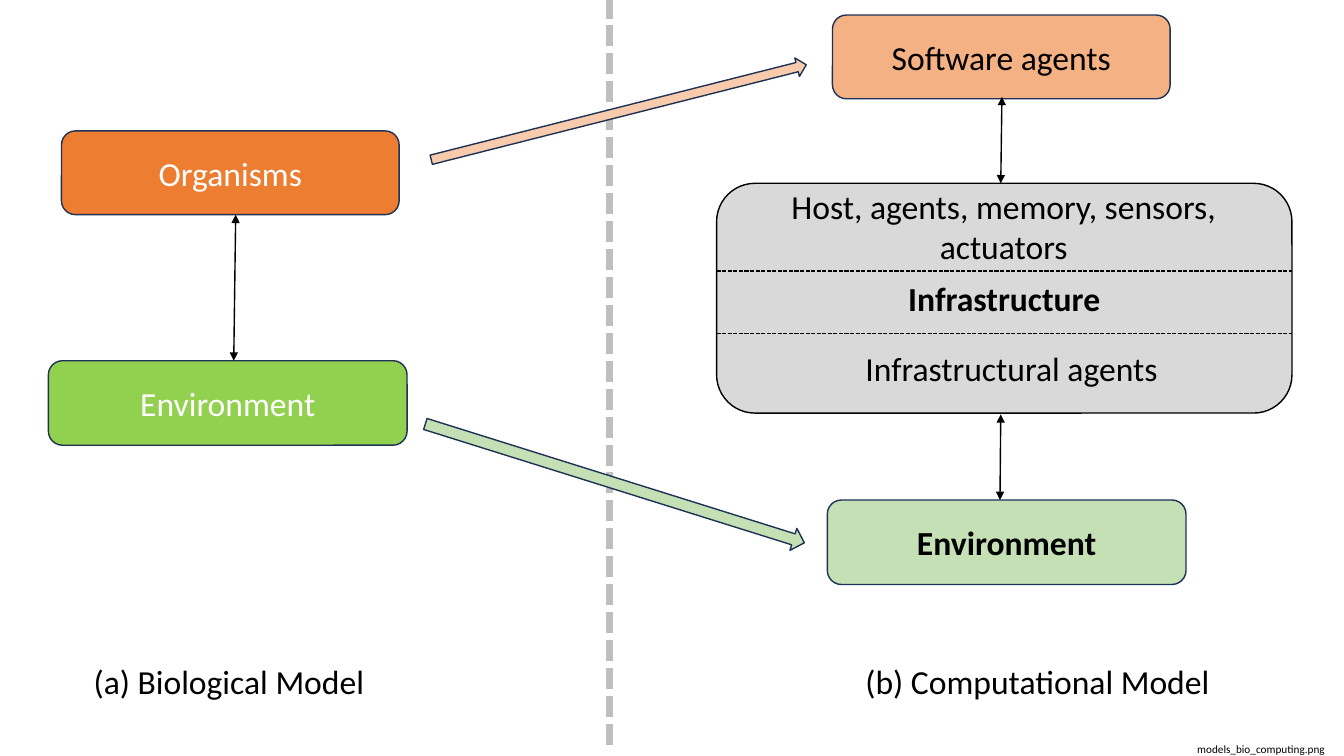
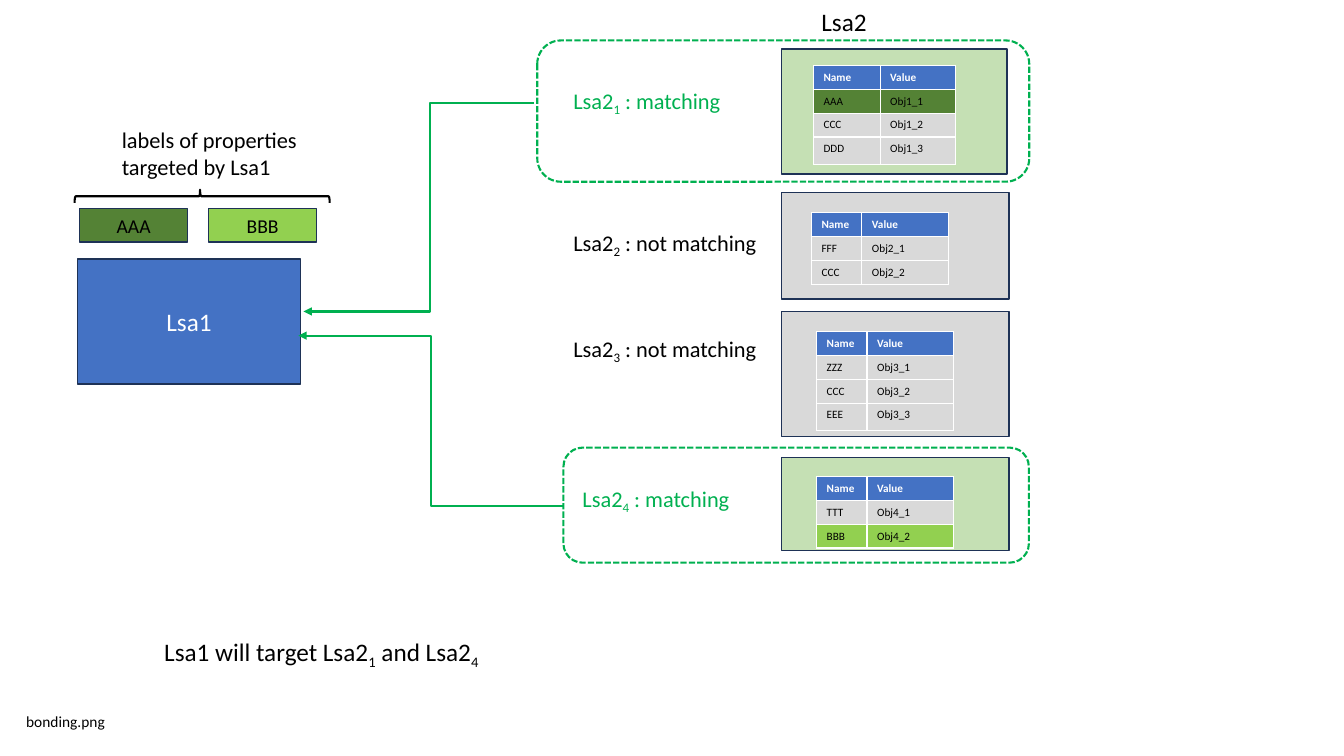
import pptx
import pptx.dml.color
import pptx.enum.dml
import pptx.enum.shapes
import pptx.enum.text
import pptx.oxml.ns
import pptx.util
from lxml import etree

Cm = pptx.util.Cm
Pt = pptx.util.Pt
KIND = pptx.enum.shapes.MSO_SHAPE
LINK = pptx.enum.shapes.MSO_CONNECTOR
ALIGN = pptx.enum.text.PP_ALIGN
ANCHOR = pptx.enum.text.MSO_ANCHOR
DASH = pptx.enum.dml.MSO_LINE.SQUARE_DOT
qn = pptx.oxml.ns.qn

HUES = {
    "black": "000000", "white": "FFFFFF", "navy": "1E3256", "blue": "4472C4",
    "grey": "D9D9D9", "rule": "BFBFBF", "orange": "ED7D31", "peach": "F4B183",
    "cream": "F8CBAD", "lime": "92D050", "mint": "C5E0B4", "moss": "548235",
    "green": "00B050",
}


def hue(name):
    return pptx.dml.color.RGBColor.from_string(HUES[name])


def apply(thing, form):
    for name, value in form.items():
        setattr(thing, name, value)


def shift(box, left, top, *size):
    return (box[0] + left, box[1] + top, *size)


def paint(thing, name):
    if name:
        thing.fill.solid()
        thing.fill.fore_color.rgb = hue(name)
    else:
        thing.fill.background()


def stroke(line, tint, width, dash):
    line.color.rgb = hue(tint)
    apply(line, {"width": Pt(width), "dash_style": dash})


def write(frame, words, size, tint="black", bold=False, align=ALIGN.LEFT):
    for row, text in enumerate(words.split("\n")):
        para = frame.paragraphs[0] if row == 0 else frame.add_paragraph()
        para.alignment = align
        for spot, part in enumerate(text.split("~")):
            if not part:
                continue
            run = para.add_run()
            run.text = part
            apply(run.font, {"name": "Calibri", "size": Pt(size), "bold": bold})
            run.font.color.rgb = hue(tint)
            if spot % 2:
                run.font._element.set("baseline", "-25000")


def label(slide, box, words, size, tint="black", align=ALIGN.LEFT):
    frame = slide.shapes.add_textbox(*map(Cm, box)).text_frame
    frame.word_wrap = True
    write(frame, words, size, tint, align=align)


def block(slide, kind, box, fill, words="", size=24, ink="black", bold=False,
          edge="navy", width=1, dash=None):
    shape = slide.shapes.add_shape(kind, *map(Cm, box))
    shape.shadow.inherit = False
    paint(shape, fill)
    stroke(shape.line, edge, width, dash)
    if words:
        apply(shape.text_frame, {"word_wrap": True, "vertical_anchor": ANCHOR.MIDDLE})
        write(shape.text_frame, words, size, ink, bold, ALIGN.CENTER)
    return shape


def link(slide, start, stop, tint="black", width=1, dash=None, heads=(), bend=None):
    kind = LINK.STRAIGHT if bend is None else LINK.ELBOW
    line = slide.shapes.add_connector(kind, *map(Cm, (*start, *stop)))
    stroke(line.line, tint, width, dash)
    props = line._element.spPr
    for end in heads:
        etree.SubElement(props.find(qn("a:ln")), qn(f"a:{end}"), type="triangle")
    etree.SubElement(props, qn("a:effectLst"))
    if bend is not None:
        guides = props.find(qn("a:prstGeom")).get_or_add_avLst()
        etree.SubElement(guides, qn("a:gd"), name="adj1", fmla=f"val {round(bend * 100000)}")


def join(slide, box, start, stop):
    link(slide, shift(box, *start), shift(box, *stop), heads=("headEnd", "tailEnd"))


def nature(slide, box):
    block(slide, KIND.ROUNDED_RECTANGLE, shift(box, 1.55, 3.3, 8.51, 2.11),
          "orange", "Organisms", ink="white")
    block(slide, KIND.ROUNDED_RECTANGLE, shift(box, 1.22, 9.09, 9.04, 2.13),
          "lime", "Environment", ink="white")
    join(slide, box, (5.94, 5.41), (5.89, 9.09))
    label(slide, shift(box, 2.11, 16.54, 7.65, 1.27), "(a) Biological Model", 24)


def machine(slide, box):
    block(slide, KIND.ROUNDED_RECTANGLE, shift(box, 2.69, 4.62, 14.5, 5.79),
          "grey", "Infrastructure", bold=True, edge="black")
    for level in (6.83, 8.41):
        link(slide, shift(box, 2.69, level), shift(box, 17.19, level), dash=DASH)
    label(slide, shift(box, 3.32, 4.55, 13.21, 2.31),
          "Host, agents, memory, sensors, actuators", 24, align=ALIGN.CENTER)
    label(slide, shift(box, 6.19, 8.64, 9.35, 1.27), "Infrastructural agents", 24)
    block(slide, KIND.ROUNDED_RECTANGLE, shift(box, 5.48, 12.6, 9.04, 2.13),
          "mint", "Environment", bold=True)
    block(slide, KIND.ROUNDED_RECTANGLE, shift(box, 5.61, 0.38, 8.51, 2.11),
          "peach", "Software agents")
    join(slide, box, (9.88, 2.44), (9.85, 4.62))
    join(slide, box, (9.85, 10.44), (9.83, 12.6))
    label(slide, shift(box, 6.19, 16.54, 10.19, 1.27), "(b) Computational Model", 24)


def models(slide):
    middle = 15.37
    link(slide, (middle, 18.77), (middle, 0), "rule", 5, DASH)
    nature(slide, (0, 0))
    machine(slide, (middle, 0))
    for box, fill, turn in (
        ((10.72, 2.59, 9.75, 0.48), "cream", 345.8),
        ((10.49, 11.89, 10.01, 0.58), "mint", 17.4),
    ):
        block(slide, KIND.RIGHT_ARROW, box, fill).rotation = turn
    label(slide, (29.92, 18.59, 3.95, 0.46), "models_bio_computing.png", 8)


def target(slide, box):
    label(slide, shift(box, 0.92, 0, 5.49, 1.63),
          "labels of properties\ntargeted by Lsa1", 16)
    brace = block(slide, KIND.RIGHT_BRACE, shift(box, 3.03, -1.32, 0.33, 6.43),
                  None, edge="black", width=1.5)
    brace.rotation = 270
    for spot, value in enumerate((0.083, 0.492)):
        brace.adjustments[spot] = value
    for spot, (name, fill) in enumerate((("AAA", "moss"), ("BBB", "lime"))):
        block(slide, KIND.RECTANGLE, shift(box, 0.11 + 3.25 * spot, 2.21, 2.72, 0.84),
              fill, name, 14)
    block(slide, KIND.RECTANGLE, shift(box, 0.06, 3.48, 5.61, 3.15),
          "blue", "Lsa1", 18, "white")


def grid(slide, box, widths, rows, match):
    lines = [("Name", "Value"), *rows]
    high = [0.6] * len(lines)
    if len(rows) == 3:
        high[-1] = 0.69
    table = slide.shapes.add_table(
        len(lines), 2, *map(Cm, (*box, sum(widths), sum(high)))).table
    table.horz_banding = False
    for column, width in zip(table.columns, widths):
        column.width = Cm(width)
    for spot, (row, names) in enumerate(zip(table.rows, lines)):
        row.height = Cm(high[spot])
        fill = "blue" if spot == 0 else match.get(names[0], "grey")
        for cell, name in zip(row.cells, names):
            paint(cell, fill)
            write(cell.text_frame, name, 8, "black" if spot else "white", spot == 0)


def panel(slide, box, fill, inset, widths, rows, match):
    block(slide, KIND.RECTANGLE, box, fill)
    grid(slide, shift(box, *inset), widths, rows, match)


def bonding(slide):
    target(slide, (1.9, 3.05))
    slim = (1.27, 2.18)
    panels = (
        ((19.69, 1.24, 5.69, 3.15), (0.81, 0.41), (1.68, 1.9),
         ("AAA", "CCC", "DDD"), {"AAA": "moss"}, (14.2, 2.06)),
        ((19.69, 4.85, 5.74, 2.69), (0.76, 0.51), slim,
         ("FFF", "CCC"), {}, (14.2, 5.64)),
        ((19.69, 7.85, 5.74, 3.15), (0.89, 0.51), slim,
         ("ZZZ", "CCC", "EEE"), {}, (14.2, 8.31)),
        ((19.69, 11.53, 5.74, 2.34), (0.89, 0.48), slim,
         ("TTT", "BBB"), {"BBB": "lime"}, (14.43, 12.09)),
    )
    for count, (box, inset, widths, names, match, spot) in enumerate(panels, 1):
        rows = [(name, f"Obj{count}_{line}") for line, name in enumerate(names, 1)]
        panel(slide, box, "mint" if match else "grey", inset, widths, rows, match)
        state, tint = ("matching", "green") if match else ("not matching", "black")
        label(slide, (*spot, 5.4, 0.94), f"Lsa2~{count}~ : {state}", 16, tint)
    for start, stop, bend in (
        ((13.46, 2.59), (7.65, 7.85), 0.45),
        ((14.2, 12.75), (7.52, 8.46), 0.5),
    ):
        link(slide, start, stop, "green", 1.5, heads=("tailEnd",), bend=bend)
    for box in ((13.54, 1.02, 12.4, 3.56), (14.2, 11.28, 11.73, 2.9)):
        block(slide, KIND.ROUNDED_RECTANGLE, box, None,
              edge="green", width=1.5, dash=DASH)
    label(slide, (3.89, 15.9, 10.54, 1.02), "Lsa1 will target Lsa2~1~ and Lsa2~4", 18)
    label(slide, (20.45, 0.03, 5.49, 1.02), "Lsa2", 18)
    label(slide, (0.41, 17.83, 4.85, 0.74), "bonding.png", 11)


def main():
    deck = pptx.Presentation()
    apply(deck, {"slide_width": Cm(33.87), "slide_height": Cm(19.05)})
    for build in (models, bonding):
        build(deck.slides.add_slide(deck.slide_layouts[6]))
    deck.save("out.pptx")


if __name__ == "__main__":
    main()
